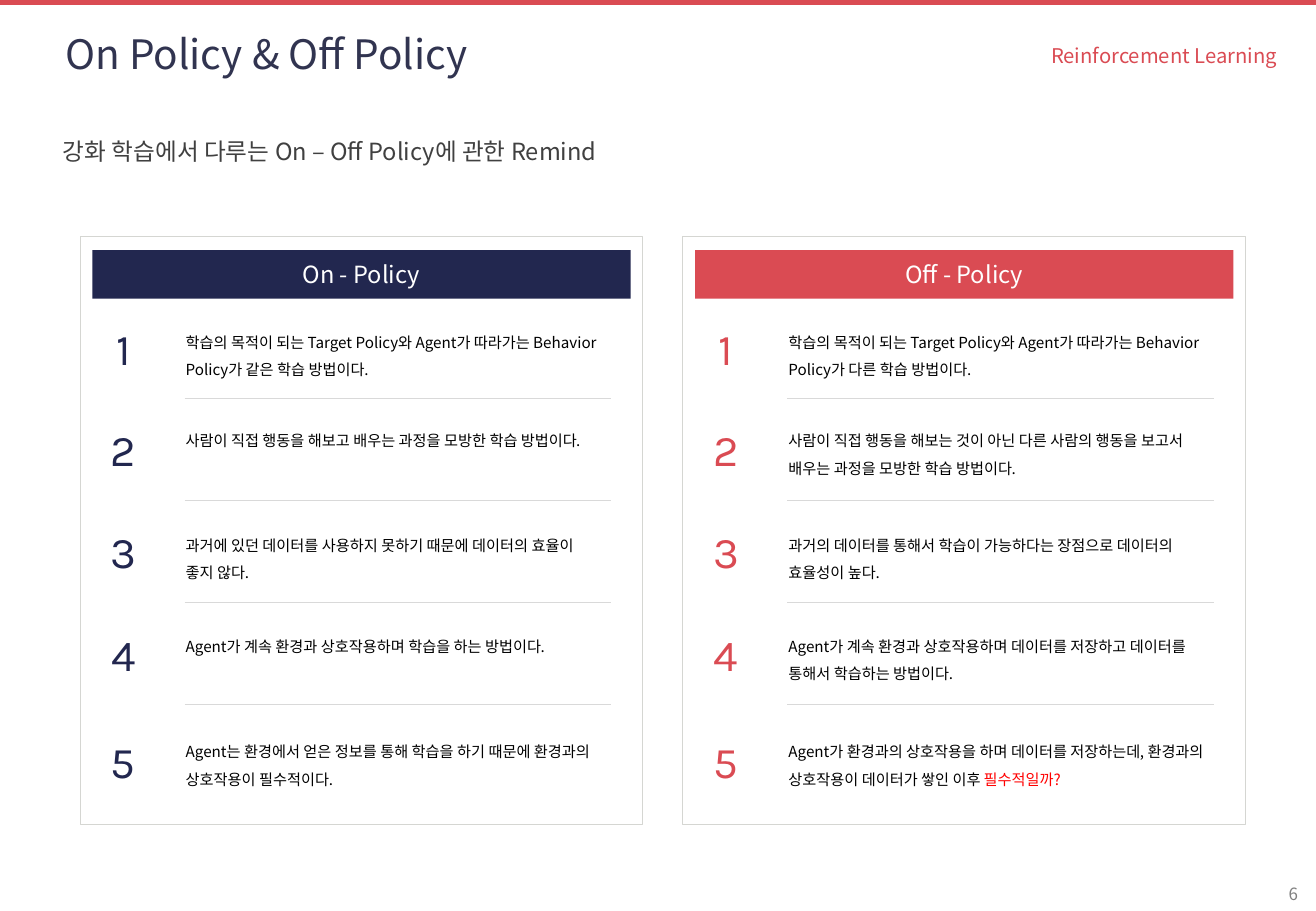
import pptx
import pptx.dml.color
import pptx.enum.shapes
import pptx.enum.text
import pptx.oxml.ns
import pptx.util
from lxml import etree
from pptx.util import Inches

SANS, NUMERALS = "Noto Sans CJK KR", "Karla"
NAVY, RED, BLACK, WHITE = "22274F", "DA4B53", "000000", "FFFFFF"

HEADINGS = [
    # text, (left, top, width, height), size, colour, alignment, line spacing
    ("On Policy & Off Policy", (0.44, 0.2, 7.26, 0.48), 24, "313450", "LEFT", 1.0),
    ("Reinforcement Learning", (7.76, 0.2, 2.85, 0.48), 12, RED, "RIGHT", 1.2),
    ("강화 학습에서 다루는 On – Off Policy에 관한 Remind",
     (0.42, 1.08, 8.46, 0.33), 14, "404040", "LEFT", 1.0),
    ("6", (8.45, 7.24, 2.33, 0.24), 10, "808080", "RIGHT", 1.0),
]

CARDS = [
    ("On - Policy", NAVY, 0.66, [
        [("학습의 목적이 되는 Target Policy와 Agent가 따라가는 Behavior Policy가 같은 학습 방법이다.", BLACK)],
        [("사람이 직접 행동을 해보고 배우는 과정을 모방한 학습 방법이다.", BLACK)],
        [("과거에 있던 데이터를 사용하지 못하기 때문에 데이터의 효율이 좋지 않다.", BLACK)],
        [("Agent가 계속 환경과 상호작용하며 학습을 하는 방법이다.", BLACK)],
        [("Agent는 환경에서 얻은 정보를 통해 학습을 하기 때문에 환경과의 상호작용이 필수적이다.", BLACK)],
    ]),
    ("Off - Policy", RED, 5.62, [
        [("학습의 목적이 되는 Target Policy와 Agent가 따라가는 Behavior Policy가 다른 학습 방법이다.", BLACK)],
        [("사람이 직접 행동을 해보는 것이 아닌 다른 사람의 행동을 보고서 배우는 과정을 모방한 학습 방법이다.", BLACK)],
        [("과거의 데이터를 통해서 학습이 가능하다는 장점으로 데이터의 효율성이 높다.", BLACK)],
        [("Agent가 계속 환경과 상호작용하며 데이터를 저장하고 데이터를 통해서 학습하는 방법이다.", BLACK)],
        [("Agent가 환경과의 상호작용을 하며 데이터를 저장하는데, 환경과의 상호작용이 데이터가 쌓인 이후 ", BLACK),
         ("필수적일까?", "FF0000")],
    ]),
]

CARD_TOP = 1.95
NUMBER_TOPS = [2.65, 3.48, 4.32, 5.17, 6.05]
TEXT_TOPS = [2.62, 3.43, 4.29, 5.12, 5.99]
FIRST_RULE, RULE_STEP = 3.28, 0.84

presentation = pptx.Presentation()
presentation.slide_width, presentation.slide_height = Inches(10.83), Inches(7.5)
slide = presentation.slides.add_slide(presentation.slide_layouts[6])


def color(value):
    return pptx.dml.color.RGBColor.from_string(value)


def write(shape, runs, size, align="LEFT", anchor="MIDDLE", spacing=1.0, font=SANS):
    """Fill a shape with one paragraph of (text, colour) runs."""
    frame = shape.text_frame
    frame.word_wrap = True
    frame.vertical_anchor = getattr(pptx.enum.text.MSO_ANCHOR, anchor)
    paragraph = frame.paragraphs[0]
    paragraph.alignment = getattr(pptx.enum.text.PP_ALIGN, align)
    paragraph.line_spacing = spacing
    for text, run_color in runs:
        run = paragraph.add_run()
        run.text = text
        run.font.size = pptx.util.Pt(size)
        run.font.color.rgb = color(run_color)
        run.font.name = font
        east_asian = etree.SubElement(run.font._element, pptx.oxml.ns.qn("a:ea"))
        east_asian.set("typeface", font)


def add_text(box, runs, size, inset=True, **style):
    shape = slide.shapes.add_textbox(*map(Inches, box))
    if not inset:
        frame = shape.text_frame
        frame.margin_left = frame.margin_right = 0
        frame.margin_top = frame.margin_bottom = 0
    write(shape, runs, size, **style)


def add_box(box, fill, line=None):
    shape = slide.shapes.add_shape(
        pptx.enum.shapes.MSO_SHAPE.RECTANGLE, *map(Inches, box))
    shape.shadow.inherit = False
    shape.fill.solid()
    shape.fill.fore_color.rgb = color(fill)
    if line:
        shape.line.color.rgb = color(line)
        shape.line.width = pptx.util.Pt(0.75)
    else:
        shape.line.fill.background()
    return shape


def add_rule(left, right, y):
    rule = slide.shapes.add_connector(
        pptx.enum.shapes.MSO_CONNECTOR.STRAIGHT,
        Inches(left), Inches(y), Inches(right), Inches(y))
    rule.line.color.rgb = color("D9D9D9")
    rule.line.width = pptx.util.Pt(1)
    etree.SubElement(rule._element.spPr, pptx.oxml.ns.qn("a:effectLst"))


def add_card(title, accent, left, items):
    add_box((left, CARD_TOP, 4.63, 4.84), WHITE, "D5D6D2")
    banner = add_box((left + 0.1, CARD_TOP + 0.11, 4.43, 0.4), accent)
    write(banner, [(title, WHITE)], 14, align="CENTER")
    for index, runs in enumerate(items):
        add_text((left + 0.16, NUMBER_TOPS[index], 0.39, 0.46),
                 [(str(index + 1), accent)], 26, inset=False,
                 align="CENTER", anchor="TOP", font=NUMERALS)
        add_text((left + 0.77, TEXT_TOPS[index], 3.64, 0.53),
                 runs, 9, anchor="TOP", spacing=1.5)
        if index < len(items) - 1:
            add_rule(left + 0.86, left + 4.37, FIRST_RULE + index * RULE_STEP)


add_box((0, -0.01, 10.83, 0.05), RED)
for text, box, size, text_color, align, spacing in HEADINGS:
    add_text(box, [(text, text_color)], size, align=align, spacing=spacing)
for card in CARDS:
    add_card(*card)

presentation.save("out.pptx")
